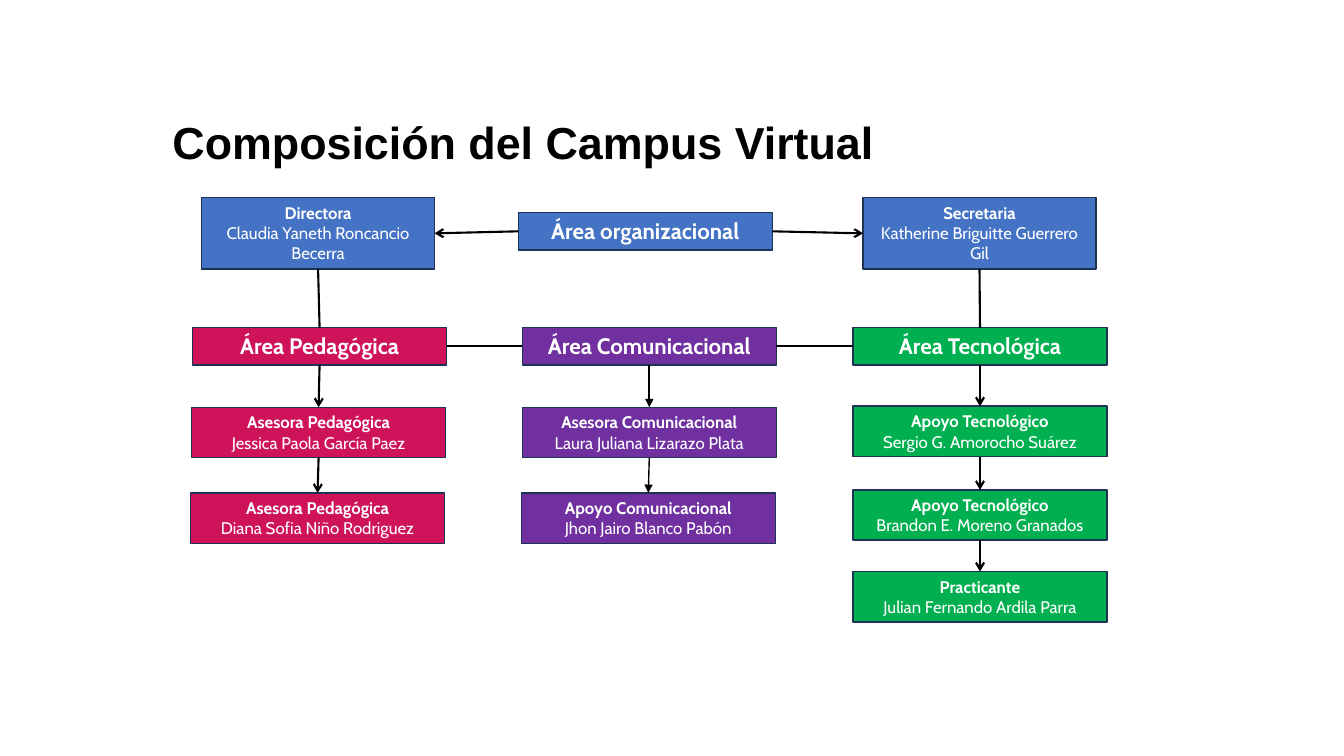
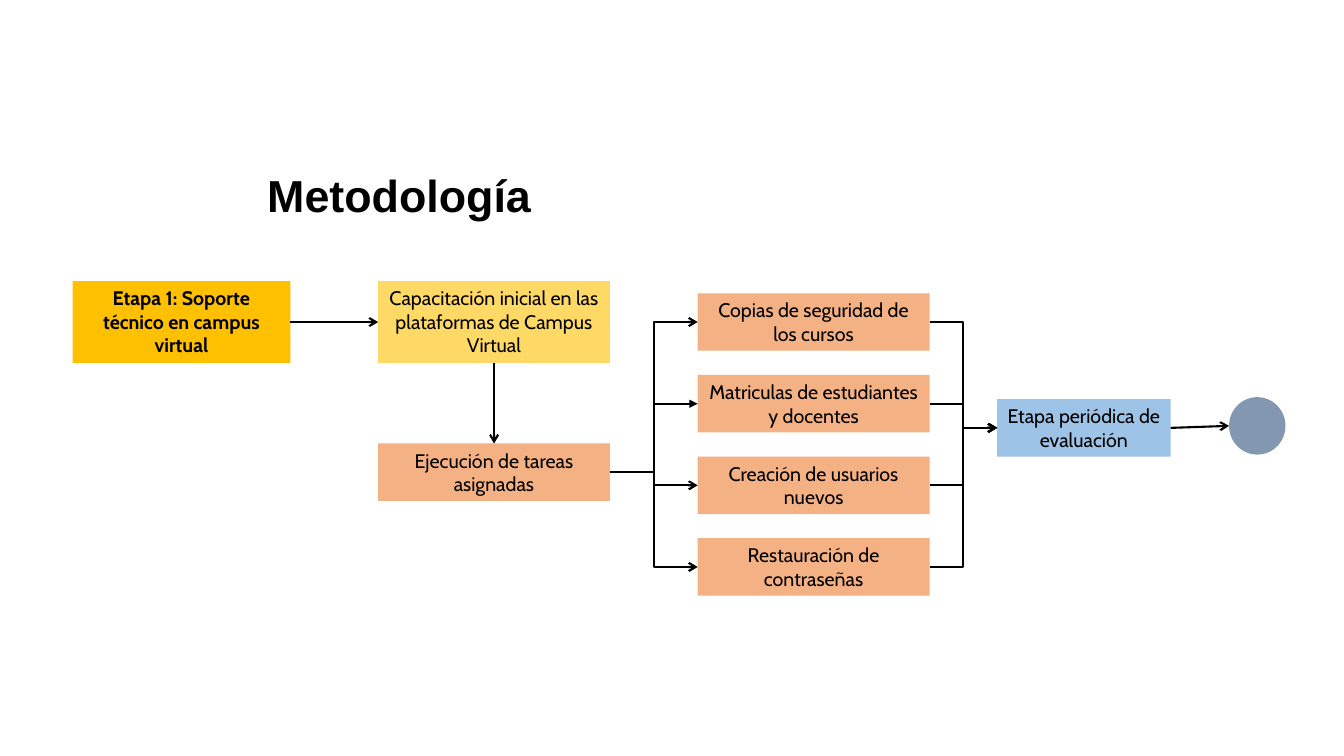
from lxml import etree
from pptx import Presentation
from pptx.dml.color import RGBColor
from pptx.enum.shapes import MSO_CONNECTOR, MSO_SHAPE
from pptx.enum.text import MSO_ANCHOR, MSO_AUTO_SIZE, PP_ALIGN
from pptx.oxml.ns import qn
from pptx.util import Pt

PX = 9144  # 100 px to the inch
RECTANGLE, OVAL = MSO_SHAPE.RECTANGLE, MSO_SHAPE.OVAL
STRAIGHT, ELBOW = MSO_CONNECTOR.STRAIGHT, MSO_CONNECTOR.ELBOW
TOP, LEFT, BOTTOM, RIGHT = range(4)
ARROW, TRIANGLE = "arrow", "triangle"

BLACK = RGBColor(0x00, 0x00, 0x00)
WHITE = RGBColor(0xFF, 0xFF, 0xFF)
NAVY = RGBColor(0x1E, 0x32, 0x56)
BLUE = RGBColor(0x44, 0x72, 0xC4)
CRIMSON = RGBColor(0xCF, 0x13, 0x5A)
PURPLE = RGBColor(0x70, 0x30, 0xA0)
GREEN = RGBColor(0x00, 0xB0, 0x50)
GOLD = RGBColor(0xFF, 0xC0, 0x00)
YELLOW = RGBColor(0xFF, 0xD9, 0x66)
ORANGE = RGBColor(0xF4, 0xB1, 0x83)
SKY = RGBColor(0x9D, 0xC3, 0xE6)
SLATE = RGBColor(0x84, 0x97, 0xB0)

TITLE_FONT, BODY_FONT = "Arial", "Cabin"

# Organisation chart: boxes are (left, top, width, height)
ORGANIZATION = ("Área organizacional", (514, 211, 252, 37))
LEADERS = [
    ("Directora", "Claudia Yaneth Roncancio Becerra", (200, 196, 231, 71)),
    ("Secretaria", "Katherine Briguitte Guerrero Gil", (856, 196, 231, 71)),
]
AREA_TOP, AREA_WIDTH, AREA_HEIGHT, MEMBER_HEIGHT = 325, 252, 37, 50
# (area, colour, left, arrowhead, members as (role, name, left, top, line weight))
AREAS = [
    ("Área Pedagógica", CRIMSON, 191, ARROW, [
        ("Asesora Pedagógica", "Jessica Paola García Paez", 190, 404, 1.5),
        ("Asesora Pedagógica", "Diana Sofia Niño Rodriguez", 189, 489, 1.5),
    ]),
    ("Área Comunicacional", PURPLE, 518, TRIANGLE, [
        ("Asesora Comunicacional", "Laura Juliana Lizarazo Plata", 518, 404, 1.5),
        ("Apoyo Comunicacional", "Jhon Jairo Blanco Pabón", 517, 489, 1),
    ]),
    ("Área Tecnológica", GREEN, 846, ARROW, [
        ("Apoyo Tecnológico", "Sergio G. Amorocho Suárez", 846, 403, 1.5),
        ("Apoyo Tecnológico", "Brandon E. Moreno Granados", 846, 486, 1.5),
        ("Practicante", "Julian Fernando Ardila Parra", 846, 567, 1.5),
    ]),
]

# Methodology flow
STAGE = ("Etapa 1: Soporte técnico en campus virtual", (72, 279, 216, 81))
TRAINING = ("Capacitación inicial en las plataformas de Campus Virtual",
            (375, 279, 230, 81))
EXECUTION = ("Ejecución de tareas asignadas", (375, 440, 230, 57))
TASKS = [
    ("Copias de seguridad de los cursos", ARROW),
    ("Matriculas de estudiantes y docentes", TRIANGLE),
    ("Creación de usuarios nuevos", ARROW),
    ("Restauración de contraseñas", ARROW),
]
TASK_LEFT, TASK_TOP, TASK_STEP, TASK_WIDTH, TASK_HEIGHT = 692, 291, 81, 230, 57
EVALUATION = ("Etapa periódica de evaluación", (989, 396, 172, 57))
END_CIRCLE = (1219, 394, 56, 57)


def scale(box):
    return [length * PX for length in box]


def style_run(run, font_name, size, color, bold):
    run.font.name = font_name
    run.font.size = Pt(size)
    run.font.color.rgb = color
    run.font.bold = bold


def add_titled_slide(presentation, title, box):
    slide = presentation.slides.add_slide(presentation.slide_layouts[5])
    placeholder = slide.shapes.title
    (placeholder.left, placeholder.top,
     placeholder.width, placeholder.height) = scale(box)
    frame = placeholder.text_frame
    frame.auto_size = MSO_AUTO_SIZE.NONE
    frame.vertical_anchor = MSO_ANCHOR.MIDDLE
    paragraph = frame.paragraphs[0]
    paragraph.alignment = PP_ALIGN.LEFT
    paragraph.line_spacing = 0.9
    run = paragraph.add_run()
    run.text = title
    style_run(run, TITLE_FONT, 32, BLACK, True)
    return slide


def add_box(slide, box, fill, lines=(), size=14, color=BLACK, outline=None,
            preset=RECTANGLE):
    """Add a filled shape; lines holds one (text, bold) pair per paragraph."""
    shape = slide.shapes.add_shape(preset, *scale(box))
    shape.shadow.inherit = False
    shape.fill.solid()
    shape.fill.fore_color.rgb = fill
    if outline is None:
        shape.line.fill.background()
    else:
        shape.line.color.rgb = outline
        shape.line.width = Pt(1)
    frame = shape.text_frame
    frame.word_wrap = True
    frame.vertical_anchor = MSO_ANCHOR.TOP
    if lines:
        frame.auto_size = MSO_AUTO_SIZE.SHAPE_TO_FIT_TEXT
    for index, (text, bold) in enumerate(lines):
        paragraph = frame.add_paragraph() if index else frame.paragraphs[0]
        paragraph.alignment = PP_ALIGN.CENTER
        run = paragraph.add_run()
        run.text = text
        style_run(run, BODY_FONT, size, color, bold)
    return shape


def add_heading_box(slide, text, box, fill):
    return add_box(slide, box, fill, [(text, True)], 16, WHITE, NAVY)


def add_person_box(slide, role, name, box, fill):
    return add_box(slide, box, fill, [(role, True), (name, False)],
                   12, WHITE, NAVY)


def connect(slide, start, start_side, end, end_side, head=None, weight=1.5,
            kind=STRAIGHT):
    connector = slide.shapes.add_connector(kind, 0, 0, 0, 0)
    connector.begin_connect(start, start_side)
    if end.auto_shape_type == OVAL:  # ovals number their sites differently
        connector.end_x = end.left
        connector.end_y = end.top + end.height // 2
    else:
        connector.end_connect(end, end_side)
    connector.line.color.rgb = BLACK
    connector.line.width = Pt(weight)
    if head:
        line = connector.line._get_or_add_ln()
        etree.SubElement(line, qn("a:tailEnd"), type=head)
    etree.SubElement(connector._element.spPr, qn("a:effectLst"))


def build_organization_slide(presentation):
    slide = add_titled_slide(presentation, "Composición del Campus Virtual",
                             (161, 97, 856, 94))
    organization = add_heading_box(slide, *ORGANIZATION, BLUE)
    director, secretary = [add_person_box(slide, *leader, BLUE)
                           for leader in LEADERS]
    connect(slide, organization, LEFT, director, RIGHT, ARROW)
    connect(slide, organization, RIGHT, secretary, LEFT, ARROW)

    headings = []
    for area, color, left, head, members in AREAS:
        box = (left, AREA_TOP, AREA_WIDTH, AREA_HEIGHT)
        above = add_heading_box(slide, area, box, color)
        headings.append(above)
        for role, name, member_left, top, weight in members:
            box = (member_left, top, AREA_WIDTH, MEMBER_HEIGHT)
            member = add_person_box(slide, role, name, box, color)
            connect(slide, above, BOTTOM, member, TOP, head, weight)
            above = member

    for first, second in zip(headings, headings[1:]):
        connect(slide, first, RIGHT, second, LEFT)
    connect(slide, director, BOTTOM, headings[0], TOP)
    connect(slide, secretary, BOTTOM, headings[-1], TOP)


def build_methodology_slide(presentation):
    slide = add_titled_slide(presentation, "Metodología", (255, 149, 292, 94))

    def add_step(text, box, fill, bold=False):
        return add_box(slide, box, fill, [(text, bold)])

    stage = add_step(*STAGE, GOLD, bold=True)
    training = add_step(*TRAINING, YELLOW)
    execution = add_step(*EXECUTION, ORANGE)
    evaluation = add_step(*EVALUATION, SKY)
    circle = add_box(slide, END_CIRCLE, SLATE, preset=OVAL)

    connect(slide, stage, RIGHT, training, LEFT, ARROW)
    connect(slide, training, BOTTOM, execution, TOP, ARROW)
    for index, (text, head) in enumerate(TASKS):
        box = (TASK_LEFT, TASK_TOP + index * TASK_STEP, TASK_WIDTH, TASK_HEIGHT)
        task = add_step(text, box, ORANGE)
        connect(slide, execution, RIGHT, task, LEFT, head, kind=ELBOW)
        connect(slide, task, RIGHT, evaluation, LEFT, ARROW, kind=ELBOW)
    connect(slide, evaluation, RIGHT, circle, LEFT, ARROW)


def main():
    presentation = Presentation()
    presentation.slide_width, presentation.slide_height = scale((1333, 750))
    build_organization_slide(presentation)
    build_methodology_slide(presentation)
    presentation.save("out.pptx")


if __name__ == "__main__":
    main()
